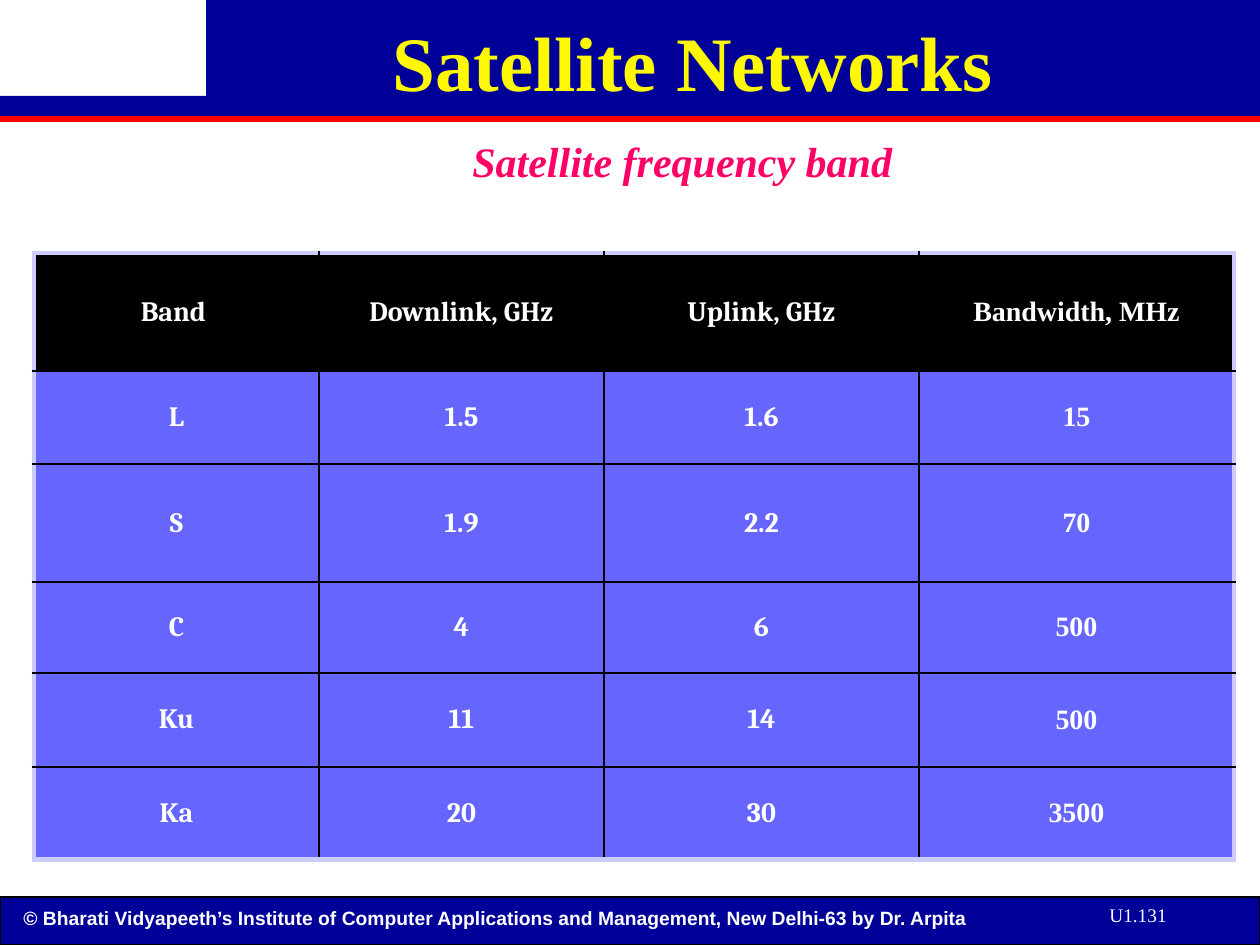
from pptx import Presentation
from pptx.dml.color import RGBColor as RGB
from pptx.enum.shapes import MSO_SHAPE as SHAPE
from pptx.enum.text import MSO_ANCHOR as ANCHOR, PP_ALIGN as ALIGN
from pptx.oxml import parse_xml
from pptx.oxml.ns import nsdecls
from pptx.util import Emu, Pt

C = {"navy": "000099", "red": "FF0000", "yellow": "FEF800", "pink": "FF0066",
     "white": "FFFFFF", "black": "000000", "cell": "6666FF", "frame": "CCCCFF"}
SERIF = "Times New Roman"
COLS = [285, 285, 315, 315]
ROWS = [118, 93, 118, 91, 94, 93]
BANDS = [["Band ", "Downlink, GHz", "Uplink, GHz", "Bandwidth, MHz"],
         ["L", "1.5", "1.6", "15"],
         ["S", "1.9", "2.2", "70"],
         ["C", "4", "6", "500"],
         ["Ku", "11", "14", "500"],
         ["Ka", "20", "30", "3500"]]


def px(n):
    """Turn pixels into EMU."""
    return Emu(round(n * 914400 / 126))


def write(tf, text, color, align=ALIGN.LEFT, **fmt):
    """Put one formatted run in a text frame and return its paragraph."""
    p = tf.paragraphs[0]
    p.alignment = align
    r = p.add_run()
    r.text = text
    r.font.color.rgb = RGB.from_string(C[color])
    for name, value in fmt.items():
        setattr(r.font, name, value)
    return p


def bar(s, box, color, line=None):
    """Draw a plain filled rectangle."""
    sp = s.shapes.add_shape(SHAPE.RECTANGLE, *map(px, box))
    sp.shadow.inherit = False
    sp.fill.solid()
    sp.fill.fore_color.rgb = RGB.from_string(C[color])
    if line:
        sp.line.color.rgb = RGB.from_string(C[line])
        sp.line.width = Pt(0.75)
    else:
        sp.line.fill.background()


def label(s, box, text, color, wrap=True, **fmt):
    """Add a text box with one line."""
    tf = s.shapes.add_textbox(*map(px, box)).text_frame
    tf.word_wrap = wrap
    write(tf, text, color, **fmt)


def title(s, box, text):
    """Fill the title placeholder and bring it in front of the bars."""
    sp = s.shapes.title
    sp.left, sp.top, sp.width, sp.height = map(px, box)
    tf = sp.text_frame
    tf.vertical_anchor = ANCHOR.TOP
    tf.margin_top = px(15)
    write(tf, text, "yellow", ALIGN.CENTER, size=Pt(44), name=SERIF, bold=True)
    s.shapes._spTree.append(sp._element)


def borders(cell, outer):
    """Draw the four cell borders, thick and pale on the outer sides."""
    tc_pr = cell._tc.get_or_add_tcPr()
    for i, (side, is_outer) in enumerate(outer.items()):
        color, width = ("frame", 3) if is_outer else ("black", 1)
        tc_pr.insert(i, parse_xml(
            f'<a:ln{side} {nsdecls("a")} w="{Pt(width)}"><a:solidFill>'
            f'<a:srgbClr val="{C[color]}"/></a:solidFill></a:ln{side}>'))


def band_table(s, left, top):
    """Build the table of frequency bands."""
    last_row, last_col = len(ROWS) - 1, len(COLS) - 1
    tbl = s.shapes.add_table(len(ROWS), len(COLS), px(left), px(top),
                             px(sum(COLS)), px(sum(ROWS))).table
    for col, width in zip(tbl.columns, COLS):
        col.width = px(width)
    for i, (row, height) in enumerate(zip(tbl.rows, ROWS)):
        row.height = px(height)
        for j, cell in enumerate(row.cells):
            cell.vertical_anchor = ANCHOR.MIDDLE
            cell.fill.solid()
            cell.fill.fore_color.rgb = RGB.from_string(C["cell" if i else "black"])
            p = write(cell.text_frame, BANDS[i][j], "white", ALIGN.CENTER, size=Pt(16),
                      name=SERIF if j == last_col else "Cambria", bold=True)
            if j == last_col:
                p.space_after = Pt(3)
            borders(cell, {"L": j == 0, "R": j == last_col,
                           "T": i == 0, "B": i == last_row})


def main():
    """Build the slide and save it."""
    prs = Presentation()
    prs.slide_width, prs.slide_height = px(1260), px(945)
    s = prs.slides.add_slide(prs.slide_layouts[5])
    bar(s, (0, 897, 1260, 48), "navy", "black")
    label(s, (11, 900, 1157, 35),
          "© Bharati Vidyapeeth’s Institute of Computer Applications and Management, "
          "New Delhi-63 by Dr. Arpita", "white", size=Pt(11), name="Arial", bold=True)
    bar(s, (0, 116, 1260, 6), "red")
    bar(s, (206, 0, 1054, 96), "navy")
    bar(s, (0, 96, 1260, 20), "navy")
    label(s, (1097, 897, 163, 37), "U1.131", "white", size=Pt(11), name=SERIF)
    title(s, (126, 0, 1134, 158), "Satellite Networks")
    band_table(s, 34, 253)
    label(s, (460, 129, 445, 63), "Satellite frequency band", "pink", wrap=False,
          size=Pt(24), name=SERIF, bold=True, italic=True)
    prs.save("out.pptx")


if __name__ == "__main__":
    main()
